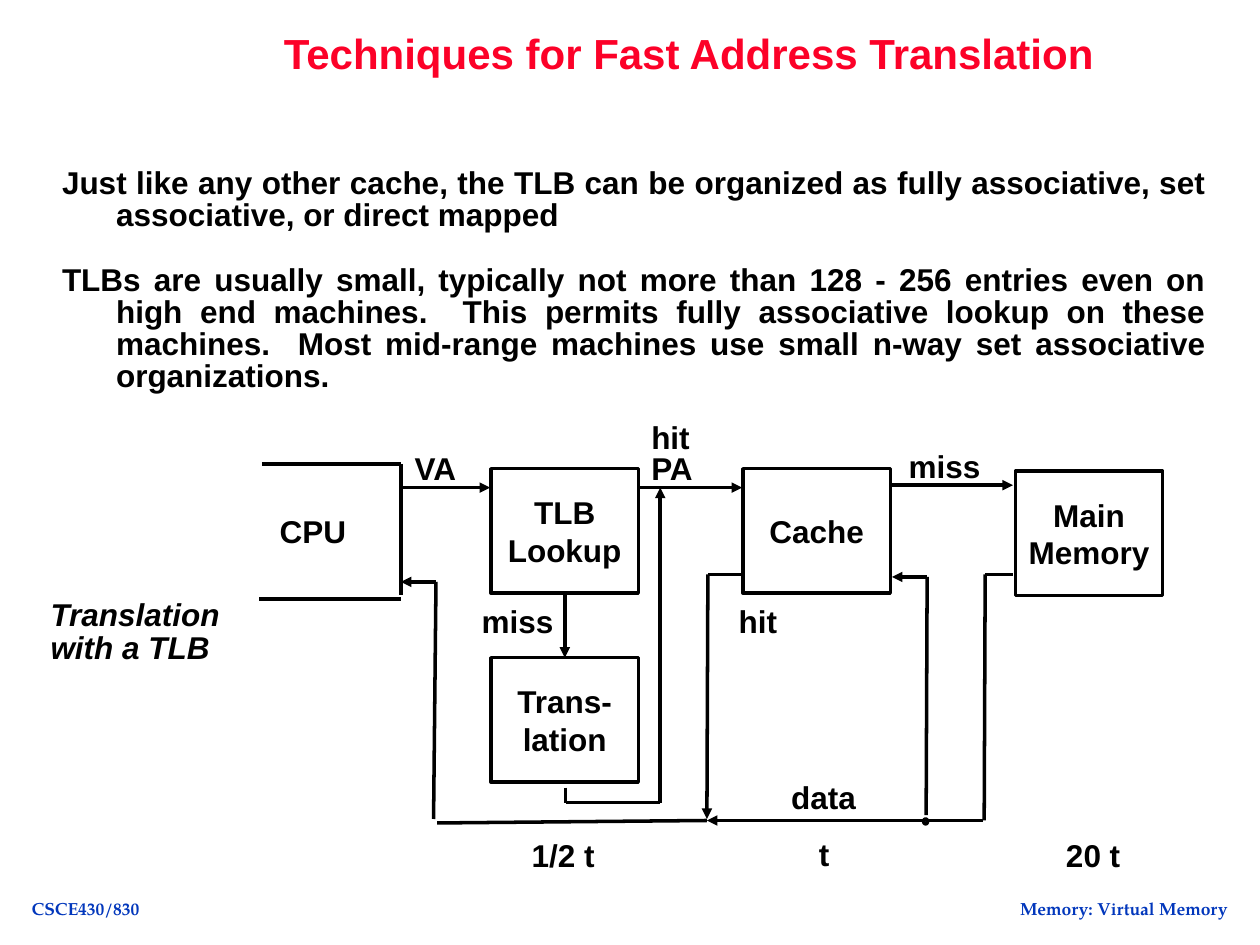
from itertools import pairwise

from lxml import etree
from pptx import Presentation
from pptx.dml.color import RGBColor
from pptx.enum.shapes import MSO_CONNECTOR, MSO_SHAPE
from pptx.enum.text import MSO_ANCHOR, MSO_AUTO_SIZE, PP_ALIGN
from pptx.oxml.ns import qn
from pptx.util import Cm, Pt

COLORS = {"ink": "000000", "title": "FC0128", "footer": "0237BC", "dot": "618FFD"}
BOLD = {"name": "Arial", "size": Pt(18), "bold": True}
ITALIC = BOLD | {"italic": True}
HEADING = BOLD | {"size": Pt(24)}
FOOTER = {"name": "TeX Gyre Pagella", "size": Pt(10), "bold": True}
CENTERED = {"alignment": PP_ALIGN.CENTER}
TIGHT = {"alignment": PP_ALIGN.LEFT, "line_spacing": 0.85}
WIDE_INSET, SLIM_INSET = (0.25, 0.13), (0.18, 0.08)

presentation = Presentation()
presentation.slide_width, presentation.slide_height = Cm(25.4), Cm(19.05)
slide = presentation.slides.add_slide(presentation.slide_layouts[1])
shapes = slide.shapes


def write(shape, lines, font, layout, inset, color="ink", wrap=False, anchor=MSO_ANCHOR.TOP):
    frame = shape.text_frame
    side, edge = (Cm(value) for value in inset)
    frame_format = {
        "auto_size": MSO_AUTO_SIZE.NONE, "word_wrap": wrap, "vertical_anchor": anchor,
        "margin_left": side, "margin_right": side, "margin_top": edge, "margin_bottom": edge,
    }
    for name, value in frame_format.items():
        setattr(frame, name, value)
    frame.text = "\n".join(lines)
    for paragraph in frame.paragraphs:
        for name, value in layout.items():
            setattr(paragraph, name, value)
        for run in paragraph.runs:
            for name, value in font.items():
                setattr(run.font, name, value)
            run.font.color.rgb = RGBColor.from_string(COLORS[color])


def draw_line(start, end, arrow=False):
    points = (Cm(value) for value in (*start, *end))
    line = shapes.add_connector(MSO_CONNECTOR.STRAIGHT, *points)
    line.line.color.rgb = RGBColor.from_string(COLORS["ink"])
    line.line.width = Pt(2)
    if arrow:
        etree.SubElement(line.line._get_or_add_ln(), qn("a:tailEnd"), type="triangle")
    etree.SubElement(line._element.spPr, qn("a:effectLst"))
    return line


# Title
title = shapes.title
title.left, title.top, title.width, title.height = Cm(4.65), Cm(0.43), Cm(18.47), Cm(1.27)
write(title, ["Techniques for Fast Address Translation"], HEADING, CENTERED,
      WIDE_INSET, "title", wrap=True)

# Body text with hanging indents
body = slide.placeholders[1]
body.left, body.top, body.width, body.height = Cm(1.07), Cm(3.33), Cm(23.42), Cm(4.67)
write(body, [
    "Just like any other cache, the TLB can be organized as fully associative, "
    "set associative, or direct mapped",
    "TLBs are usually small, typically not more than 128 - 256 entries even on high end "
    "machines.  This permits fully associative lookup on these machines.  Most mid-range "
    "machines use small n-way set associative organizations.",
], BOLD, {"alignment": PP_ALIGN.JUSTIFY, "line_spacing": 0.85, "space_before": Pt(0)},
    SLIM_INSET, wrap=True)
for paragraph in body.text_frame.paragraphs:
    properties = paragraph._p.get_or_add_pPr()
    properties.set("marL", str(Cm(1.09)))
    properties.set("indent", str(-Cm(1.09)))
    etree.SubElement(properties, qn("a:buNone"))
body.text_frame.paragraphs[1].space_before = Pt(18.3)

# Diagram blocks
blocks = {}
for name, left, top, lines in [
    ("tlb", 9.9, 9.45, ["TLB", "Lookup"]),
    ("cache", 14.98, 9.45, ["Cache"]),
    ("memory", 20.47, 9.5, ["Main", "Memory"]),
    ("translation", 9.9, 13.26, ["Trans-", "lation"]),
]:
    block = shapes.add_shape(MSO_SHAPE.RECTANGLE, Cm(left), Cm(top), Cm(2.97), Cm(2.51))
    block.shadow.inherit = False
    block.fill.background()
    block.line.color.rgb = RGBColor.from_string(COLORS["ink"])
    block.line.width = Pt(2)
    write(block, lines, BOLD, CENTERED, WIDE_INSET, anchor=MSO_ANCHOR.MIDDLE)
    blocks[name] = block

# Routes: points along each path, and whether it ends in an arrowhead
for route, arrow in [
    ([(5.28, 9.35), (8.08, 9.35), (8.08, 11.99)], False),  # CPU top and right
    ([(8.08, 12.07), (5.23, 12.07)], False),  # CPU bottom
    ([(8.08, 9.83), (9.88, 9.83)], True),  # virtual address
    ([(12.85, 9.83), (14.96, 9.83)], True),  # physical address
    ([(17.96, 9.78), (20.42, 9.78)], True),  # cache miss
    ([(20.42, 11.58), (19.86, 11.58), (19.84, 16.54)], False),  # memory to bus
    ([(19.81, 16.54), (14.25, 16.54)], True),  # data bus
    ([(14.25, 16.54), (8.81, 16.59)], False),  # bus to CPU
    ([(8.74, 16.51), (8.79, 11.73), (8.08, 11.73)], True),  # data into CPU
    ([(18.67, 16.43), (18.69, 11.63), (17.98, 11.63)], True),  # cache refill
    ([(14.96, 11.58), (14.27, 11.58), (14.25, 16.51)], True),  # cache hit
    ([(11.4, 15.88), (11.4, 16.18), (13.31, 16.18), (13.31, 9.83)], True),  # translated
]:
    for start, end in pairwise(route):
        draw_line(start, end, arrow and end == route[-1])

tlb_miss = draw_line((11.38, 11.96), (11.38, 13.26), arrow=True)
tlb_miss.begin_connect(blocks["tlb"], 2)
tlb_miss.end_connect(blocks["translation"], 0)

# Bus junction
junction = shapes.add_shape(MSO_SHAPE.OVAL, Cm(18.62), Cm(16.51), Cm(0.08), Cm(0.1))
junction.shadow.inherit = False
junction.fill.solid()
junction.fill.fore_color.rgb = RGBColor.from_string(COLORS["dot"])
junction.line.color.rgb = RGBColor.from_string(COLORS["ink"])
junction.line.width = Pt(2)

# Diagram labels, access times and caption
for left, top, width, lines, font in [
    (5.46, 10.36, 1.7, ["CPU"], BOLD),
    (8.18, 9.09, 1.24, ["VA"], BOLD),
    (12.95, 9.09, 1.24, ["PA"], BOLD),
    (12.95, 8.46, 1.12, ["hit"], BOLD),
    (18.14, 9.04, 1.8, ["miss"], BOLD),
    (9.53, 12.17, 1.8, ["miss"], BOLD),
    (14.71, 12.17, 1.12, ["hit"], BOLD),
    (15.77, 15.72, 1.65, ["data"], BOLD),
    (10.54, 16.89, 1.63, ["1/2 t"], BOLD),
    (16.33, 16.87, 0.56, ["t"], BOLD),
    (21.31, 16.89, 1.45, ["20 t"], BOLD),
    (0.84, 12.04, 3.78, ["Translation", "with a TLB"], ITALIC),
]:
    height = 0.13 + 0.66 * len(lines)
    label = shapes.add_textbox(Cm(left), Cm(top), Cm(width), Cm(height))
    write(label, lines, font, TIGHT, SLIM_INSET)

# Footer
for left, width, text in [
    (0.38, 2.69, "CSCE430/830"),
    (20.14, 5.03, "Memory: Virtual Memory"),
]:
    footer = shapes.add_textbox(Cm(left), Cm(17.98), Cm(width), Cm(0.66))
    write(footer, [text], FOOTER, CENTERED, WIDE_INSET, "footer")

presentation.save("out.pptx")
